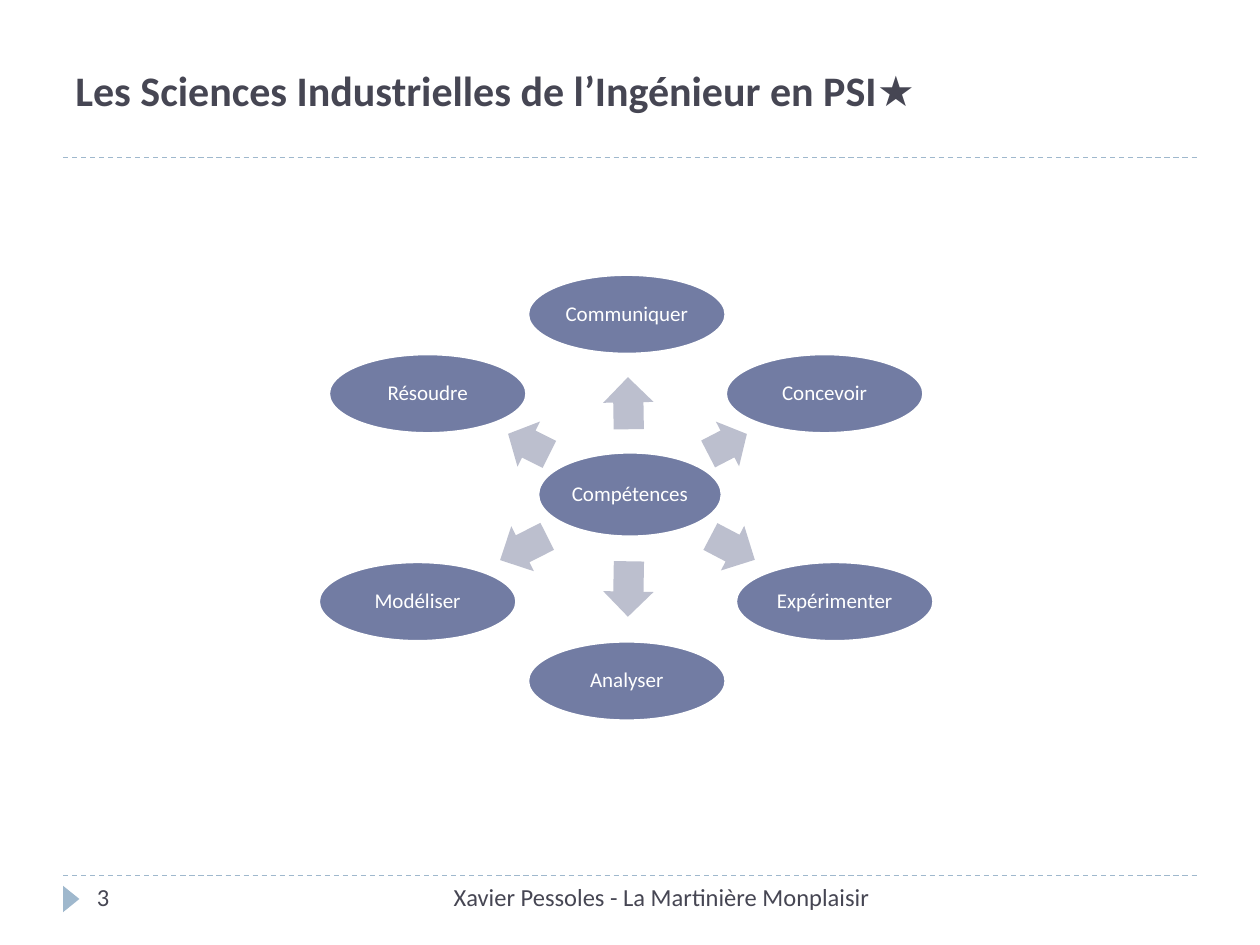
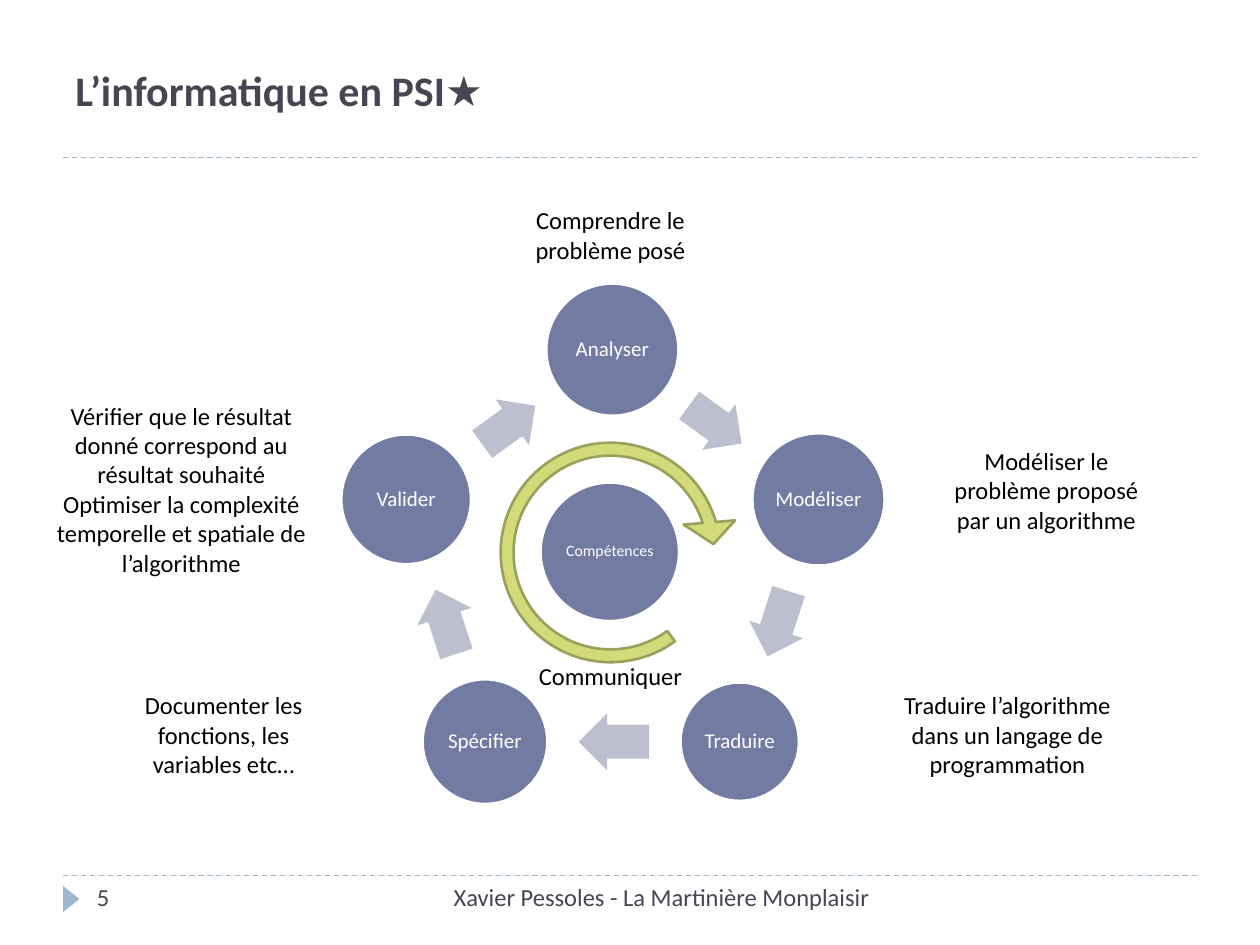
"""Build two slides on the skills taught in engineering and computing."""
from dataclasses import dataclass
from itertools import chain
from math import atan2, cos, degrees, hypot, radians, sin

from pptx import Presentation
from pptx.dml.color import RGBColor
from pptx.enum.dml import MSO_LINE
from pptx.enum.shapes import MSO_CONNECTOR, MSO_SHAPE as Preset
from pptx.enum.text import MSO_ANCHOR as Anchor, MSO_AUTO_SIZE as AutoSize, PP_ALIGN as Align
from pptx.oxml.xmlchemy import OxmlElement
from pptx.util import Inches, Pt

COLUMNS, ROWS = 100, 75
CELL = Inches(0.1)
ARROW_SHARE = 0.53


@dataclass(frozen=True)
class Theme:
    """Colours, font and type sizes shared by the slides."""
    font: str = "Calibri"
    heading: str = "464653"
    accent: str = "9FB8CD"
    node: str = "727CA3"
    arrow: str = "BCBFCE"
    loop: str = "D2DA7A"
    loop_edge: str = "9BA15A"
    white: str = "FFFFFF"
    black: str = "000000"
    title_size: float = 24
    body_size: float = 14
    node_size: float = 12
    small_size: float = 9
    hairline: float = 0.75
    outline: float = 1.5


@dataclass(frozen=True)
class Node:
    """An ellipse given by its label, centre and size in grid cells."""
    label: str
    x: float
    y: float
    width: float
    height: float

    def reach(self, angle):
        """Return the distance from the centre to the edge at an angle."""
        return 1 / hypot(2 * cos(angle) / self.width, 2 * sin(angle) / self.height)


THEME = Theme()


def cells(*counts):
    """Convert numbers of grid cells to lengths."""
    return [round(count * CELL) for count in counts]


def colour(value):
    """Return the colour for a hexadecimal value."""
    return RGBColor.from_string(value)


def write(shape, paragraphs, size, ink, align=Align.LEFT, anchor=Anchor.TOP,
          bold=False, spacing=None):
    """Fill a shape with paragraphs of one style."""
    frame = shape.text_frame
    frame.word_wrap = True
    frame.vertical_anchor = anchor
    for index, text in enumerate(paragraphs):
        para = frame.paragraphs[0] if index == 0 else frame.add_paragraph()
        para.alignment = align
        para.line_spacing = spacing
        span = para.add_run()
        span.text = text
        span.font.name = THEME.font
        span.font.size = Pt(size)
        span.font.bold = bold
        span.font.color.rgb = colour(ink)
    return frame


def add_text(page, area, paragraphs, size, ink, **style):
    """Add a text box over an area of the grid."""
    box = page.shapes.add_textbox(*cells(*area))
    return write(box, paragraphs, size, ink, **style)


def add_preset(page, preset, area, fill, edge=None, rotation=0, adjustments=()):
    """Add a flat preset shape over an area of the grid."""
    shape = page.shapes.add_shape(preset, *cells(*area))
    shape.shadow.inherit = False
    shape.rotation = rotation
    shape.fill.solid()
    shape.fill.fore_color.rgb = colour(fill)
    if edge:
        shape.line.color.rgb = colour(edge)
        shape.line.width = Pt(THEME.outline)
    else:
        shape.line.fill.background()
    for index, value in enumerate(adjustments):
        shape.adjustments[index] = value
    return shape


def add_rule(page, row):
    """Add a dashed rule across the page."""
    margin = 5
    rule = page.shapes.add_connector(
        MSO_CONNECTOR.STRAIGHT, *cells(margin, row, COLUMNS - margin, row))
    rule.line.color.rgb = colour(THEME.accent)
    rule.line.width = Pt(THEME.hairline)
    rule.line.dash_style = MSO_LINE.DASH
    rule._element.spPr.append(OxmlElement("a:effectLst"))


def add_page(deck, title, number):
    """Add a slide with its title, rules and footer."""
    page = deck.slides.add_slide(deck.slide_layouts[6])
    for row in (69.5, 12.5):
        add_rule(page, row)
    add_preset(page, Preset.ISOSCELES_TRIANGLE, (4.6, 70.7, 2.1, 1.3),
               THEME.accent, rotation=90)
    add_text(page, (5, 1.7, 90.7, 10.8), [title], THEME.title_size, THEME.heading,
             anchor=Anchor.MIDDLE, bold=True)
    add_text(page, (6.7, 69.5, 21.7, 4), [str(number)], THEME.body_size, THEME.heading)
    add_text(page, (31.7, 69.5, 38.3, 4), ["Xavier Pessoles - La Martinière Monplaisir"],
             THEME.body_size, THEME.heading, align=Align.RIGHT)
    return page


def add_node(page, node, size=THEME.node_size):
    """Add an ellipse with its label centred inside."""
    area = (node.x - node.width / 2, node.y - node.height / 2, node.width, node.height)
    shape = add_preset(page, Preset.OVAL, area, THEME.node, THEME.white)
    frame = write(shape, [node.label], size, THEME.white, align=Align.CENTER,
                  anchor=Anchor.MIDDLE, spacing=0.9)
    frame.margin_left = frame.margin_right = Inches(0.02)
    frame.margin_top = frame.margin_bottom = Inches(0.02)


def add_arrow(page, start, end, height):
    """Add a block arrow centred in the gap between two nodes."""
    dx, dy = end.x - start.x, end.y - start.y
    angle = atan2(dy, dx)
    near = start.reach(angle)
    far = hypot(dx, dy) - end.reach(angle)
    width = ARROW_SHARE * (far - near)
    middle = (near + far) / 2
    x = start.x + middle * cos(angle)
    y = start.y + middle * sin(angle)
    add_preset(page, Preset.RIGHT_ARROW, (x - width / 2, y - height / 2, width, height),
               THEME.arrow, rotation=degrees(angle) % 360, adjustments=(0.6, 0.5))


def add_note(page, area, *paragraphs):
    """Add a centred note that grows with its text."""
    frame = add_text(page, area, paragraphs, THEME.body_size, THEME.black,
                     align=Align.CENTER)
    frame.auto_size = AutoSize.SHAPE_TO_FIT_TEXT


def build_engineering(deck):
    """Build the slide with six skills around a hub."""
    page = add_page(deck, "Les Sciences Industrielles de l’Ingénieur en PSI★", 3)
    hub = Node("Compétences", 50, 39.25, 14.6, 6.7)
    add_node(page, hub)
    skills = (("Communiquer", 49.75, 24.95), ("Concevoir", 65.45, 31.25),
              ("Expérimenter", 66.25, 47.75), ("Analyser", 49.75, 54.05),
              ("Modéliser", 33.15, 47.75), ("Résoudre", 33.95, 31.25))
    for label, x, y in skills:
        skill = Node(label, x, y, 15.7, 6.3)
        add_arrow(page, hub, skill, 4)
        add_node(page, skill)


def build_computing(deck):
    """Build the slide with a cycle of five skills and their notes."""
    page = add_page(deck, "L’informatique en PSI★", 5)
    steps = (("Analyser", 10.5), ("Modéliser", 10.5), ("Traduire", 9.4),
             ("Spécifier", 9.9), ("Valider", 10.3))
    centre_x, centre_y, radius = 48.6, 44.95, 17.2
    cycle = []
    for index, (label, size) in enumerate(steps):
        angle = radians(index * 360 / len(steps) - 90)
        cycle.append(Node(label, centre_x + radius * cos(angle),
                          centre_y + radius * sin(angle), size, size))
    for start, end in zip(cycle, chain(cycle[1:], cycle[:1])):
        add_node(page, start)
        add_arrow(page, start, end, 4.5)
    add_node(page, Node("Compétences", 48.4, 43.8, 11, 11), THEME.small_size)
    add_preset(page, Preset.CIRCULAR_ARROW, (38.2, 33.6, 20.5, 20.5), THEME.loop,
               THEME.loop_edge, adjustments=(0.05, 7.32, 205.88, 32.44, 0.1))
    width = 18.9
    add_note(page, (39, 52, width, 3.4), "Communiquer")
    add_note(page, (39, 15.8, width, 5.7), "Comprendre le problème posé")
    add_note(page, (73.6, 34.9, width, 8.1),
             "Modéliser le problème proposé par un algorithme")
    add_note(page, (70.5, 54.3, width, 8.1),
             "Traduire l’algorithme dans un langage de programmation")
    add_note(page, (8.3, 54.3, width, 8.1),
             "Documenter les fonctions, les variables etc…")
    add_note(page, (2.2, 31.3, 24.4, 15.1),
             "Vérifier que le résultat donné correspond au résultat souhaité",
             "Optimiser la complexité temporelle et spatiale de l’algorithme")


def main():
    """Build and save the deck."""
    deck = Presentation()
    deck.slide_width, deck.slide_height = cells(COLUMNS, ROWS)
    build_engineering(deck)
    build_computing(deck)
    deck.save("out.pptx")


if __name__ == "__main__":
    main()
